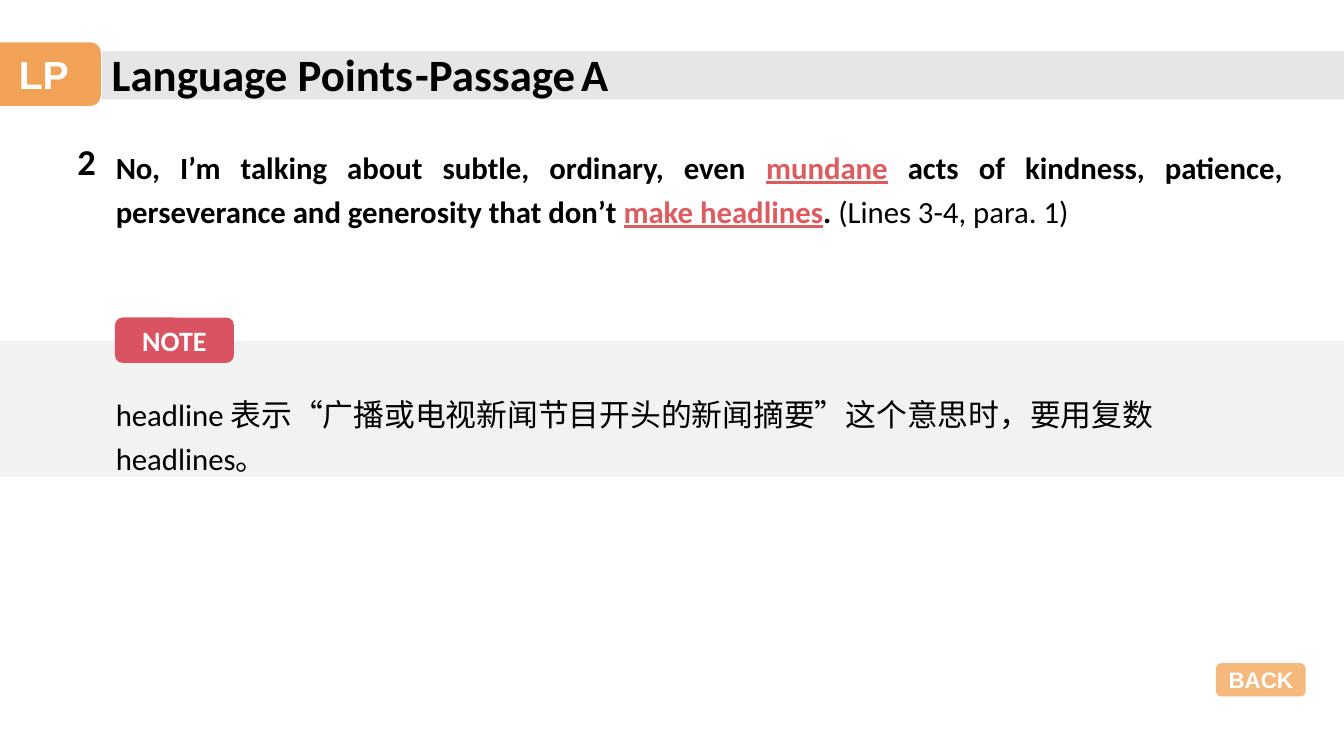
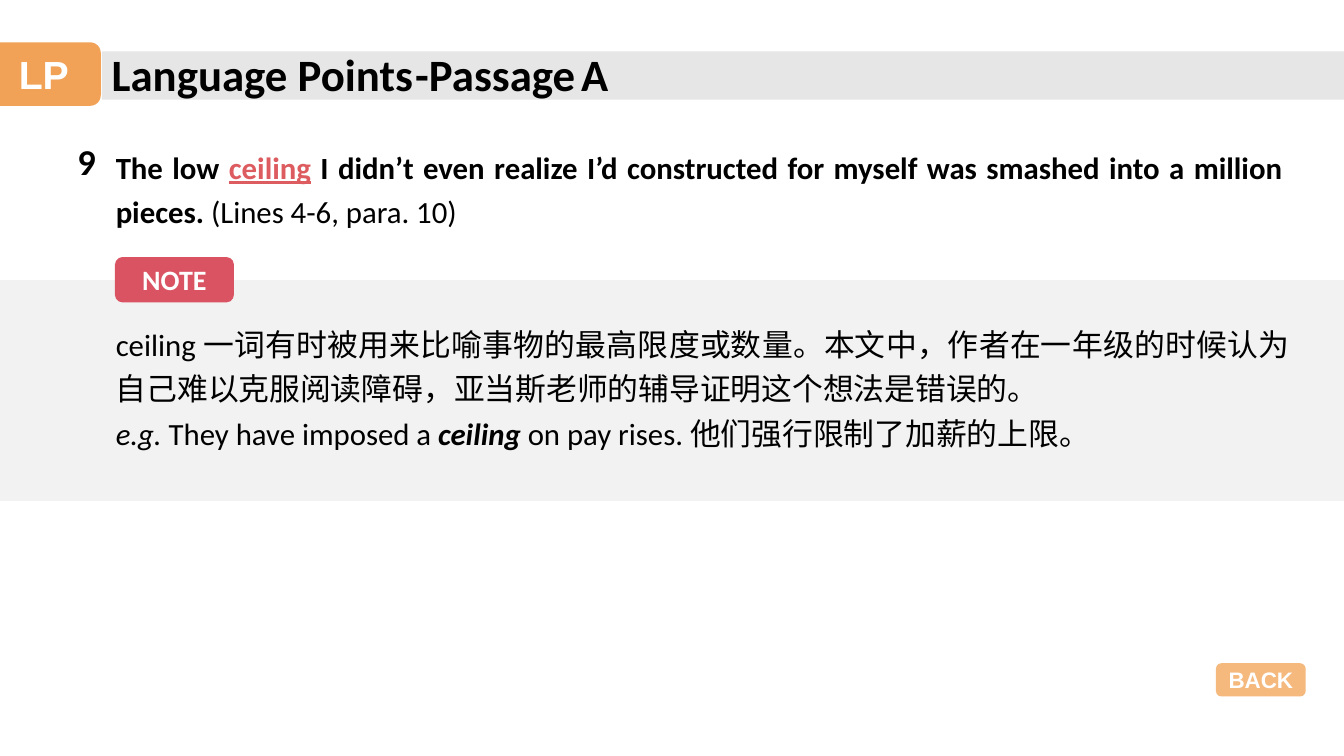
from pptx import Presentation
from pptx.dml.color import RGBColor
from pptx.enum.shapes import MSO_SHAPE as SHAPE
from pptx.enum.text import MSO_ANCHOR as ANCHOR, MSO_AUTO_SIZE as AUTO, PP_ALIGN as ALIGN
from pptx.oxml import parse_xml
from pptx.oxml.ns import nsdecls
from pptx.util import Inches, Pt

THEME = {
    "orange": "F19B48", "red": "DA5362", "accent": "DD5C60",
    "title_band": "E7E6E6", "note_band": "F2F2F2",
    "black": "000000", "white": "FFFFFF",
    "body_font": "Calibri", "label_font": "Arial",
    "title": 32, "tag": 28, "number": 26, "body": 22, "note": 20, "button": 16, "gap": 18,
}

BOLD = {"bold": True}
ITALIC = {"italic": True}
KEY = {"bold": True, "underline": True, "color": THEME["accent"]}
LABEL = {"bold": True, "color": THEME["white"]}


def add_text(tf, paragraphs, size, font=THEME["body_font"], align=ALIGN.LEFT, spacing=None):
    """Fill a text frame; each paragraph is a list of (text, format values)."""
    tf.word_wrap = True
    for i, runs in enumerate(paragraphs):
        p = tf.paragraphs[0] if i == 0 else tf.add_paragraph()
        p.alignment = align
        p.line_spacing = spacing
        for text, style in runs:
            r = p.add_run()
            r.text = text
            values = {"name": font, "size": size, "color": THEME["black"], **style}
            r.font.color.rgb = RGBColor.from_string(values.pop("color"))
            r.font.size = Pt(values.pop("size"))
            for name, value in values.items():
                setattr(r.font, name, value)


def add_block(s, kind, box, color, opacity=100):
    sp = s.shapes.add_shape(kind, *map(Inches, box))
    sp.shadow.inherit = False
    sp.line.fill.background()
    sp.fill.solid()
    sp.fill.fore_color.rgb = RGBColor.from_string(color)
    if opacity < 100:
        clr = sp.fill._xPr.find(".//{*}srgbClr")
        clr.append(parse_xml(f'<a:alpha {nsdecls("a")} val="{opacity * 1000}"/>'))
    return sp


points = [
    {
        "number": "2",
        "sentence": [
            ("No, I’m talking about subtle, ordinary, even ", BOLD),
            ("mundane", KEY),
            (" acts of kindness, patience, perseverance and generosity that don’t ", BOLD),
            ("make headlines", KEY),
            (". ", BOLD),
            ("(Lines 3-4, para. 1)", {}),
        ],
        "band": (3.38, 1.35),
        "note_box": (3.8, 0.51),
        "note_align": ALIGN.LEFT,
        "note": [
            [("headline 表示“广播或电视新闻节目开头的新闻摘要”这个意思时，要用复数 headlines。", {})],
        ],
    },
    {
        "number": "9",
        "sentence": [
            ("The low ", BOLD),
            ("ceiling", KEY),
            (" I didn’t even realize I’d constructed for myself was smashed into a million pieces. ", BOLD),
            ("(Lines 4-6, para. 10)", {}),
        ],
        "band": (2.78, 2.19),
        "note_box": (3.11, 1.4),
        "note_align": ALIGN.JUSTIFY,
        "note": [
            [("ceiling 一词有时被用来比喻事物的最高限度或数量。本文中，作者在一年级的时候认为"
              "自己难以克服阅读障碍，亚当斯老师的辅导证明这个想法是错误的。", {})],
            [("e.g. ", ITALIC), ("They have imposed a ", {}), ("ceiling", {**BOLD, **ITALIC}),
             (" on pay rises. 他们强行限制了加薪的上限。", {})],
        ],
    },
]

prs = Presentation()
prs.slide_width, prs.slide_height = Inches(13.33), Inches(7.5)

for point in points:
    s = prs.slides.add_slide(prs.slide_layouts[6])
    band_top, band_height = point["band"]
    note_top, note_height = point["note_box"]

    add_block(s, SHAPE.RECTANGLE, (1.01, 0.51, 12.32, 0.48), THEME["title_band"])
    add_block(s, SHAPE.RECTANGLE, (0, band_top, 13.33, band_height), THEME["note_band"])

    labels = [
        ("LP", (-0.13, 0.42, 1.13, 0.63), THEME["orange"], 92, THEME["tag"], THEME["label_font"]),
        ("NOTE", (1.14, band_top - 0.23, 1.18, 0.45), THEME["red"], 100, THEME["note"], THEME["body_font"]),
        ("BACK", (12.06, 6.58, 0.89, 0.33), THEME["orange"], 71, THEME["button"], THEME["label_font"]),
    ]
    for text, box, color, opacity, size, font in labels:
        sp = add_block(s, SHAPE.ROUNDED_RECTANGLE, box, color, opacity)
        sp.text_frame.vertical_anchor = ANCHOR.MIDDLE
        add_text(sp.text_frame, [[(text, LABEL)]], size, font, ALIGN.CENTER)

    passage = [("-Passage", BOLD), (" ", {"size": THEME["gap"]}), ("A", BOLD)]
    texts = [
        ((1.01, 0.41, 4.85, 0.64), [[("Language Points", BOLD)]], THEME["title"], ALIGN.LEFT, None),
        ((4.02, 0.41, 2.47, 0.64), [passage], THEME["title"], ALIGN.LEFT, None),
        ((0.67, 1.33, 0.47, 0.54), [[(point["number"], BOLD)]], THEME["number"], ALIGN.LEFT, None),
        ((1.05, 1.35, 11.77, 0.96), [point["sentence"]], THEME["body"], ALIGN.JUSTIFY, 1.2),
        ((1.05, note_top, 11.84, note_height), point["note"], THEME["body"], point["note_align"], 1.2),
    ]
    for box, paragraphs, size, align, spacing in texts:
        tf = s.shapes.add_textbox(*map(Inches, box)).text_frame
        tf.auto_size = AUTO.SHAPE_TO_FIT_TEXT
        add_text(tf, paragraphs, size, align=align, spacing=spacing)

prs.save("out.pptx")
